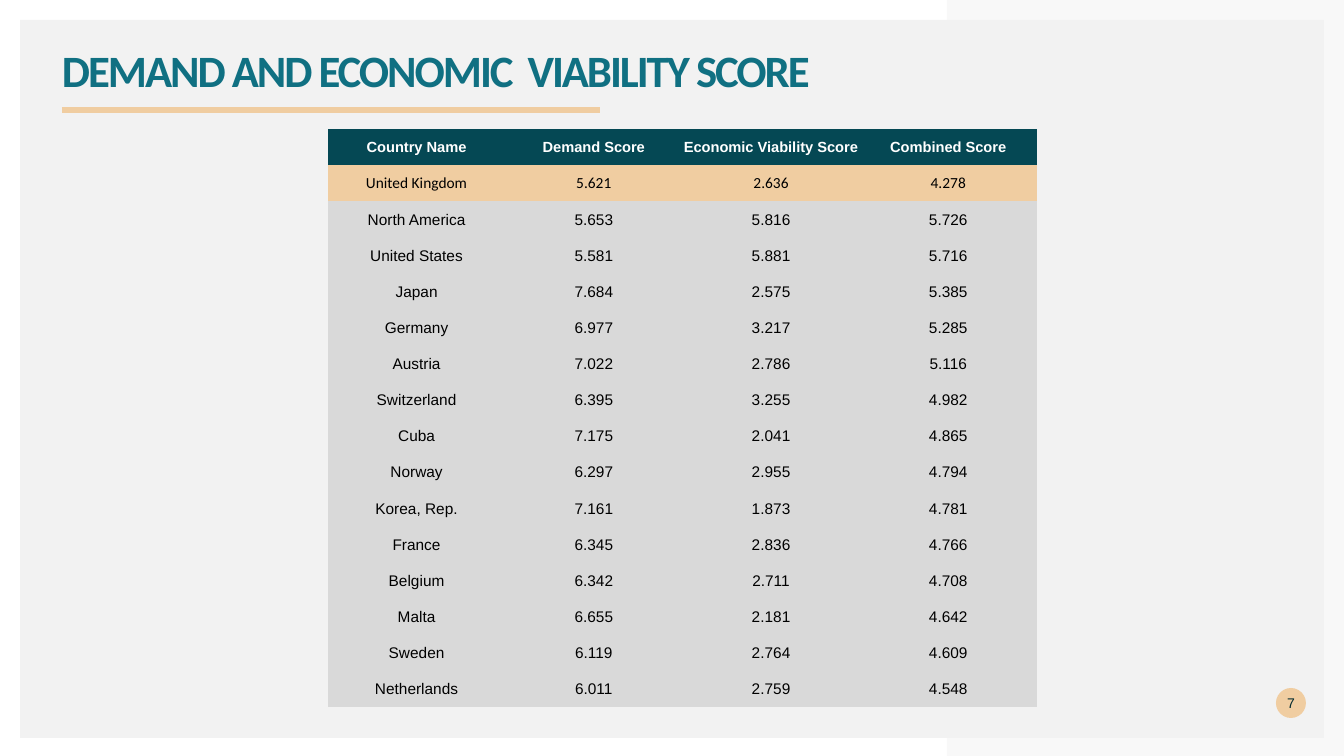
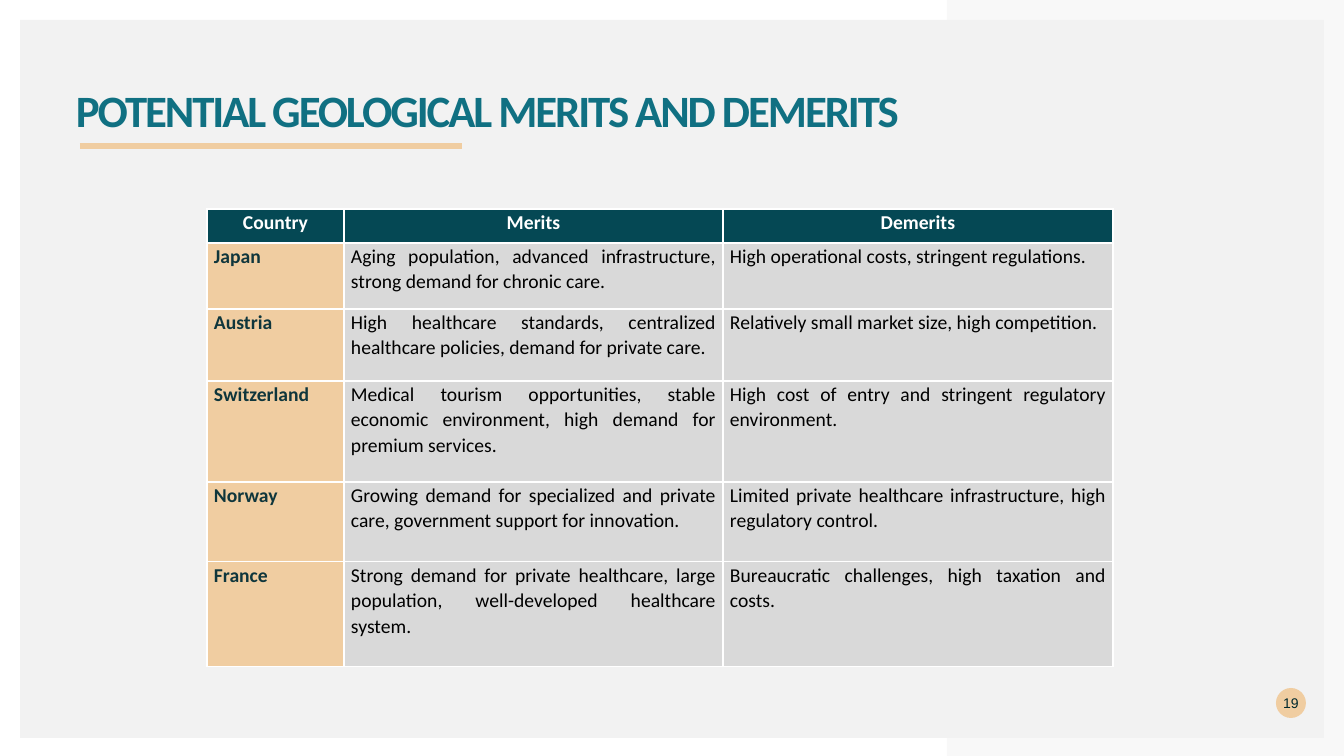
from lxml.etree import SubElement
from pptx import Presentation
from pptx.dml.color import RGBColor
from pptx.enum.shapes import MSO_CONNECTOR as CONNECTOR, MSO_SHAPE as SHAPE
from pptx.enum.text import MSO_ANCHOR as ANCHOR, PP_ALIGN as ALIGN
from pptx.oxml.ns import qn
from pptx.util import Emu, Pt

# Shared look
SLIDE_WIDTH, SLIDE_HEIGHT = 1344, 756
EMU_PER_PX = 914400 / 100.8
MARGIN = 20
BAND_LEFT = 947
PANEL = "F2F2F2"
TITLE = "107082"
SAND = "F0CDA1"
DEEP_TEAL = "054854"
DARK_TEXT = "0F363C"
NUMBER_TEXT = "00292E"
GRAY = "D9D9D9"
WHITE = "FFFFFF"
BLACK = "000000"
NO_TABLE_STYLE = "{2D5ABB26-0587-4C30-8999-92F81FD0307C}"

SCORES = [
    ("Country Name", "Demand Score", "Economic Viability Score", "Combined Score"),
    ("United Kingdom", "5.621", "2.636", "4.278"),
    ("North America", "5.653", "5.816", "5.726"),
    ("United States", "5.581", "5.881", "5.716"),
    ("Japan", "7.684", "2.575", "5.385"),
    ("Germany", "6.977", "3.217", "5.285"),
    ("Austria", "7.022", "2.786", "5.116"),
    ("Switzerland", "6.395", "3.255", "4.982"),
    ("Cuba", "7.175", "2.041", "4.865"),
    ("Norway", "6.297", "2.955", "4.794"),
    ("Korea, Rep.", "7.161", "1.873", "4.781"),
    ("France", "6.345", "2.836", "4.766"),
    ("Belgium", "6.342", "2.711", "4.708"),
    ("Malta", "6.655", "2.181", "4.642"),
    ("Sweden", "6.119", "2.764", "4.609"),
    ("Netherlands", "6.011", "2.759", "4.548"),
]

MERITS = [
    ("Country", "Merits", "Demerits"),
    ("Japan",
     "Aging population, advanced infrastructure, strong demand for chronic care.",
     "High operational costs, stringent regulations."),
    ("Austria",
     "High healthcare standards, centralized healthcare policies, demand for private care.",
     "Relatively small market size, high competition."),
    ("Switzerland",
     "Medical tourism opportunities, stable economic environment, high demand for premium services.",
     "High cost of entry and stringent regulatory environment."),
    ("Norway",
     "Growing demand for specialized and private care, government support for innovation.",
     "Limited private healthcare infrastructure, high regulatory control."),
    ("France",
     "Strong demand for private healthcare, large population, well-developed healthcare system.",
     "Bureaucratic challenges, high taxation and costs."),
]


def px(length):
    return Emu(round(length * EMU_PER_PX))


def color(value):
    return RGBColor.from_string(value)


def set_fill(target, value):
    target.fill.solid()
    target.fill.fore_color.rgb = color(value)


def style_shape(shape, value):
    shape.shadow.inherit = False
    set_fill(shape, value)
    shape.line.fill.background()


def set_insets(target, left, top, right, bottom):
    target.margin_left, target.margin_top = px(left), px(top)
    target.margin_right, target.margin_bottom = px(right), px(bottom)


def add_run(paragraph, text, font_name, size, value, bold=False):
    run = paragraph.add_run()
    run.text = text
    run.font.name = font_name
    run.font.size = Pt(size)
    run.font.bold = bold
    run.font.color.rgb = color(value)
    return run


def add_backdrop(slide):
    panel = slide.shapes.add_shape(
        SHAPE.RECTANGLE, px(MARGIN), px(MARGIN), px(SLIDE_WIDTH - 2 * MARGIN), px(718))
    style_shape(panel, PANEL)

    # Half-transparent band around the right end of the panel
    inner_right, inner_bottom = SLIDE_WIDTH - MARGIN, SLIDE_HEIGHT - MARGIN
    builder = slide.shapes.build_freeform(BAND_LEFT, 0, scale=EMU_PER_PX)
    builder.add_line_segments([
        (SLIDE_WIDTH, 0), (SLIDE_WIDTH, SLIDE_HEIGHT), (BAND_LEFT, SLIDE_HEIGHT),
        (BAND_LEFT, inner_bottom), (inner_right, inner_bottom),
        (inner_right, MARGIN), (BAND_LEFT, MARGIN)])
    band = builder.convert_to_shape()
    style_shape(band, PANEL)
    fill_color = band.element.spPr.find(qn("a:solidFill"))[0]
    SubElement(fill_color, qn("a:alpha"), val="50000")


def add_page_number(slide, number):
    badge = slide.shapes.add_shape(SHAPE.OVAL, px(1276), px(688), px(30), px(30))
    style_shape(badge, SAND)
    frame = badge.text_frame
    set_insets(frame, 0, 0, 0, 0)
    frame.word_wrap = False
    frame.vertical_anchor = ANCHOR.MIDDLE
    paragraph = frame.paragraphs[0]
    paragraph.alignment = ALIGN.CENTER
    add_run(paragraph, str(number), "Arial", 10, NUMBER_TEXT)


def add_title(slide, text, left, top, width):
    frame = slide.shapes.add_textbox(px(left), px(top), px(width), px(40)).text_frame
    frame.word_wrap = True
    set_insets(frame, 0, 0, 0, 0)
    paragraph = frame.paragraphs[0]
    paragraph.line_spacing = 0.9
    run = add_run(paragraph, text, "Calibri", 32, TITLE, bold=True)
    run.font._element.set("spc", "-150")


def add_rule(slide, left, right, y):
    rule = slide.shapes.add_connector(CONNECTOR.STRAIGHT, px(left), px(y), px(right), px(y))
    rule.line.color.rgb = color(SAND)
    rule.line.width = Pt(4.32)
    SubElement(rule.element.spPr, qn("a:effectLst"))


def add_plain_table(slide, left, top, column_widths, row_heights):
    frame = slide.shapes.add_table(
        len(row_heights), len(column_widths), px(left), px(top),
        px(sum(column_widths)), px(sum(row_heights)))
    table = frame.table
    table.first_row = table.horz_banding = False
    next(frame.element.iter(qn("a:tableStyleId"))).text = NO_TABLE_STYLE
    for column, width in zip(table.columns, column_widths):
        column.width = px(width)
    for row, height in zip(table.rows, row_heights):
        row.height = px(height)
    return table


def add_borders(cell, value):
    properties = cell._tc.get_or_add_tcPr()
    for side in ("a:lnL", "a:lnR", "a:lnT", "a:lnB"):
        line = SubElement(properties, qn(side), w=str(Pt(1)))
        SubElement(SubElement(line, qn("a:solidFill")), qn("a:srgbClr"), val=value)


def add_score_table(slide):
    count = len(SCORES)
    table = add_plain_table(slide, 328, 129, [709 / 4] * 4, [578 / count] * count)
    header = (DEEP_TEAL, "Arial", 10.5, WHITE, True)
    highlight = (SAND, "Calibri", 11, BLACK, False)
    body = (GRAY, "Arial", 11, BLACK, False)
    styles = [header, highlight] + [body] * (count - 2)
    for row, texts, (fill, *font) in zip(table.rows, SCORES, styles):
        for cell, text in zip(row.cells, texts):
            set_fill(cell, fill)
            set_insets(cell, 1, 1, 1, 0)
            cell.vertical_anchor = ANCHOR.MIDDLE
            paragraph = cell.text_frame.paragraphs[0]
            paragraph.alignment = ALIGN.CENTER
            add_run(paragraph, text, *font)


def add_merits_table(slide):
    table = add_plain_table(
        slide, 207, 209, [137, 379, 390], [34, 66, 72, 101, 80, 105])
    header = (DEEP_TEAL, ALIGN.CENTER, WHITE, True)
    country = (SAND, ALIGN.JUSTIFY, DARK_TEXT, True)
    body = (GRAY, ALIGN.JUSTIFY, BLACK, False)
    for row_index, texts in enumerate(MERITS):
        styles = [country, body, body] if row_index else [header] * 3
        cells = table.rows[row_index].cells
        for cell, text, (fill, alignment, text_color, bold) in zip(cells, texts, styles):
            add_borders(cell, WHITE)
            set_fill(cell, fill)
            set_insets(cell, 7, 0, 7, 0)
            paragraph = cell.text_frame.paragraphs[0]
            paragraph.alignment = alignment
            paragraph.line_spacing = 1.07
            paragraph.space_after = Pt(8)
            add_run(paragraph, text, "Calibri", 14, text_color, bold)


def add_base_slide(presentation, number):
    slide = presentation.slides.add_slide(presentation.slide_layouts[6])
    add_backdrop(slide)
    add_page_number(slide, number)
    return slide


def main():
    presentation = Presentation()
    presentation.slide_width = px(SLIDE_WIDTH)
    presentation.slide_height = px(SLIDE_HEIGHT)

    # Scores by country
    slide = add_base_slide(presentation, 7)
    add_title(slide, "DEMAND AND ECONOMIC  VIABILITY SCORE", 62, 49, 1087)
    add_rule(slide, 62, 600, 110)
    add_score_table(slide)

    # Merits and demerits by country
    slide = add_base_slide(presentation, 19)
    add_title(slide, "POTENTIAL GEOLOGICAL MERITS AND DEMERITS", 76, 89, 1169)
    add_rule(slide, 80, 462, 146)
    add_merits_table(slide)

    presentation.save("out.pptx")


if __name__ == "__main__":
    main()
